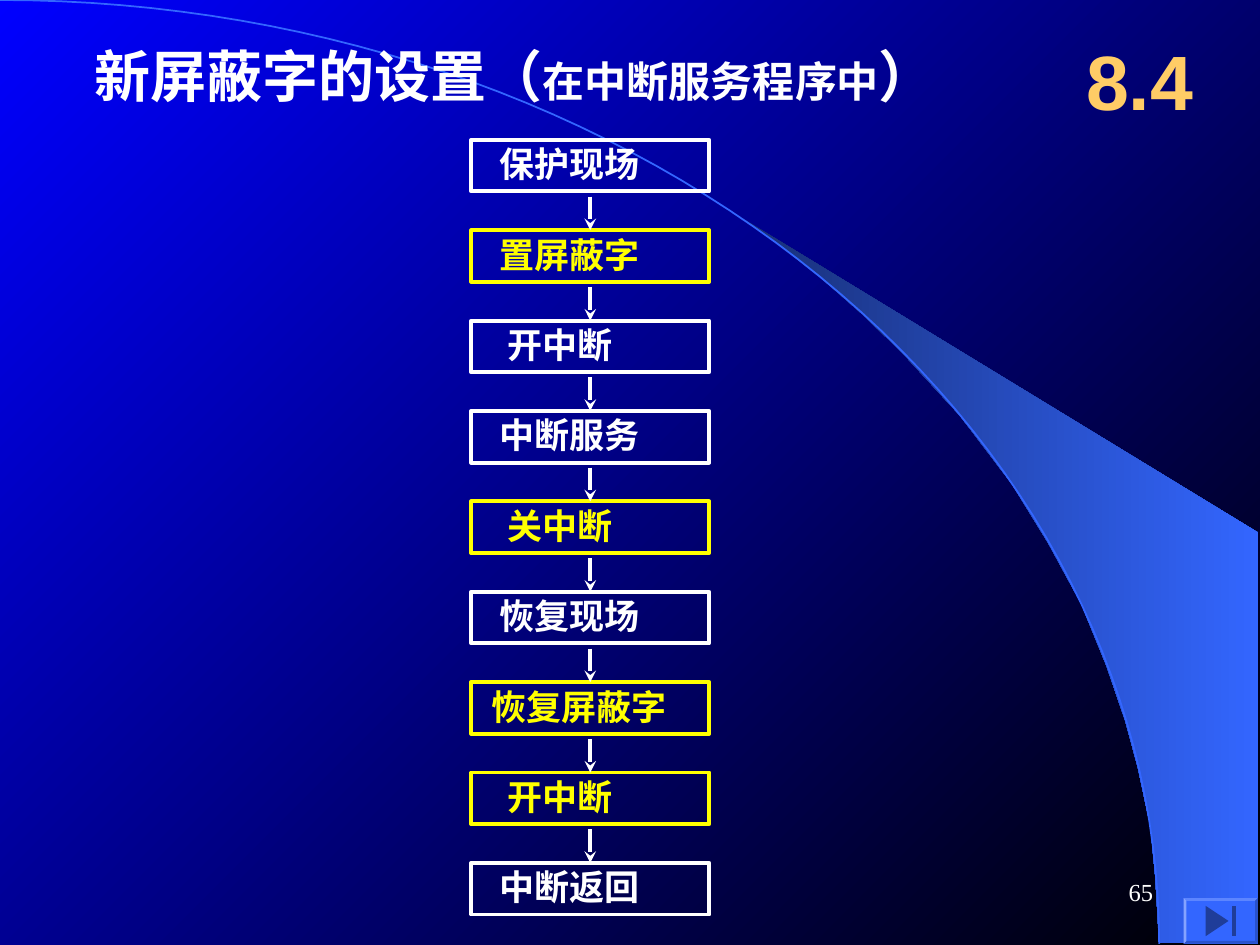
import math

import pptx
import pptx.dml.color
import pptx.enum.shapes
import pptx.enum.text
import pptx.oxml
import pptx.oxml.ns
import pptx.util

Pt = pptx.util.Pt
RGBColor = pptx.dml.color.RGBColor
ALIGN = pptx.enum.text.PP_ALIGN
qn = pptx.oxml.ns.qn

WHITE = RGBColor(0xFF, 0xFF, 0xFF)
YELLOW = RGBColor(0xFF, 0xFF, 0x00)
GOLD = RGBColor(0xFF, 0xCC, 0x66)
BLUE = RGBColor(0x00, 0x00, 0xFF)
BLACK = RGBColor(0x00, 0x00, 0x00)
SWEEP = RGBColor(0x33, 0x66, 0xFF)
SWEEP_DARK = RGBColor(0x18, 0x2F, 0x76)
BEVEL_TOP = RGBColor(0x5C, 0x85, 0xFF)
BEVEL_LEFT = RGBColor(0x85, 0xA3, 0xFF)
BEVEL_DARK = RGBColor(0x29, 0x52, 0xCC)
ICON = RGBColor(0x1F, 0x3D, 0x99)
CJK_FONT = "Noto Sans CJK SC"
SERIF = "Times New Roman"


def add_run(p, text, size=20, font=CJK_FONT, color=WHITE, bold=True):
    r = p.add_run()
    r.text = text
    r.font.size = Pt(size)
    r.font.name = font
    r.font.bold = bold
    r.font.color.rgb = color
    ea = pptx.oxml.parse_xml(
        f'<a:ea {pptx.oxml.ns.nsdecls("a")} typeface="{CJK_FONT}"/>')
    r.font._element.find(qn("a:latin")).addnext(ea)


def set_gradient(fill, start, end, angle):
    fill.gradient()
    fill.gradient_angle = angle
    for stop, color in zip(fill.gradient_stops, (start, end)):
        stop.color.rgb = color


class SlideBuilder:
    line_width = 2.25

    def __init__(self, prs):
        self.s = prs.slides.add_slide(prs.slide_layouts[6])

    def frame(self, sp, insets):
        tf = sp.text_frame
        tf.word_wrap = True
        tf.vertical_anchor = pptx.enum.text.MSO_ANCHOR.MIDDLE
        (tf.margin_left, tf.margin_top,
         tf.margin_right, tf.margin_bottom) = map(Pt, insets)
        return tf.paragraphs[0]

    def text(self, box, runs, align=ALIGN.LEFT, insets=(7.2, 3.6, 7.2, 3.6)):
        sp = self.s.shapes.add_textbox(*map(Pt, box))
        p = self.frame(sp, insets)
        p.alignment = align
        for text, style in runs:
            add_run(p, text, **style)

    def step(self, box, text, color, indent):
        sp = self.s.shapes.add_shape(
            pptx.enum.shapes.MSO_SHAPE.RECTANGLE, *map(Pt, box))
        sp.shadow.inherit = False
        sp.fill.background()
        sp.line.color.rgb = color
        sp.line.width = Pt(self.line_width)
        p = self.frame(sp, (7.2 + indent, 1.44, 0, 3.6))
        p.alignment = ALIGN.LEFT
        add_run(p, text, color=color)
        return sp

    def arrow(self, x, y, target):
        cx = self.s.shapes.add_connector(
            pptx.enum.shapes.MSO_CONNECTOR.STRAIGHT, Pt(x), Pt(y), Pt(x), target.top)
        cx.end_connect(target, 0)
        cx.line.color.rgb = WHITE
        cx.line.width = Pt(self.line_width)
        ns = pptx.oxml.ns.nsdecls("a")
        cx.line._get_or_add_ln().append(
            pptx.oxml.parse_xml(f'<a:tailEnd {ns} type="stealth"/>'))
        cx._element.spPr.append(pptx.oxml.parse_xml(f"<a:effectLst {ns}/>"))

    def outline(self, points, fill=None, line=None, close=True):
        points = [(Pt(x), Pt(y)) for x, y in points]
        fb = self.s.shapes.build_freeform(*points[0])
        fb.add_line_segments(points[1:], close=close)
        sp = fb.convert_to_shape()
        sp.shadow.inherit = False
        if fill is None:
            sp.fill.background()
        else:
            sp.fill.solid()
            sp.fill.fore_color.rgb = fill
        if line is None:
            sp.line.fill.background()
        else:
            sp.line.color.rgb = line
            sp.line.width = Pt(1)
        return sp


def main():
    prs = pptx.Presentation()
    prs.slide_width, prs.slide_height = Pt(720), Pt(540)
    b = SlideBuilder(prs)

    # Background with the sweep and its arc
    set_gradient(b.s.background.fill, BLUE, BLACK, 315)
    sweep = b.outline([
        (662.4, 538.6), (719.3, 539.3), (719.3, 304.6), (424.1, 124.6),
        (449.3, 143.3), (470.2, 159.8), (493.2, 180), (515.5, 201.6),
        (548.6, 237.6), (578.2, 276.5), (599, 310.3), (617.8, 344.9),
        (632.2, 380.2), (643, 411.8), (650.2, 438.5), (657.4, 472.3),
        (660.2, 501.1)])
    set_gradient(sweep.fill, SWEEP_DARK, SWEEP, 0)
    angles = [math.pi / 2 * i / 60 for i in range(61)]
    b.outline([(662.4 * math.sin(a), 539.3 * (1 - math.cos(a))) for a in angles],
              line=SWEEP, close=False)

    # Section number and title
    b.text((606.2, 12.2, 90, 66.2),
           [("8.4", dict(size=44, font="Arial", color=GOLD))], ALIGN.CENTER)
    b.text((54, 25.9, 561.6, 33.8),
           [("新屏蔽字的设置（", dict(size=32, font=SERIF)),
            ("在中断服务程序中", dict(size=24, font=SERIF)),
            ("）", dict(size=32, font=SERIF))], insets=(0, 0, 0, 0))

    # Flow of steps: text, colour, indent in space widths
    steps = [("保护现场", WHITE, 2), ("置屏蔽字", YELLOW, 2), ("开中断", WHITE, 3),
             ("中断服务", WHITE, 2), ("关中断", YELLOW, 3), ("恢复现场", WHITE, 2),
             ("恢复屏蔽字", YELLOW, 1), ("开中断", YELLOW, 3), ("中断返回", WHITE, 2)]
    left, top, width, height, pitch = 269.3, 79.9, 136, 29.5, 51.65
    for i, (text, color, spaces) in enumerate(steps):
        y = top + i * pitch
        sp = b.step((left, y, width, height), text, color, 4.5 * spaces)
        if i:
            b.arrow(left + width / 2, y - 19.2, sp)

    # Button to the end: face, bevels, icon
    x1, y1, x2, y2, d = 676.4, 513.2, 718.8, 539.3, 1.6
    outer = [(x1, y1), (x2, y1), (x2, y2), (x1, y2)]
    inner = [(x1 + d, y1 + d), (x2 - d, y1 + d), (x2 - d, y2 - d), (x1 + d, y2 - d)]
    b.outline(outer, SWEEP)
    for i, color in enumerate((BEVEL_TOP, BEVEL_DARK, BEVEL_DARK, BEVEL_LEFT)):
        j = (i + 1) % 4
        b.outline([outer[i], outer[j], inner[j], inner[i]], color)
    b.outline([(702, 526.3), (689, 535), (689, 517.7)], ICON)
    b.outline([(704.2, 517.7), (704.2, 535), (706.3, 535), (706.3, 517.7)], ICON)

    # Page number
    b.text((516.2, 491.8, 149.8, 36),
           [("65", dict(size=14, font=SERIF, bold=False))], ALIGN.RIGHT)

    prs.save("out.pptx")


if __name__ == "__main__":
    main()
